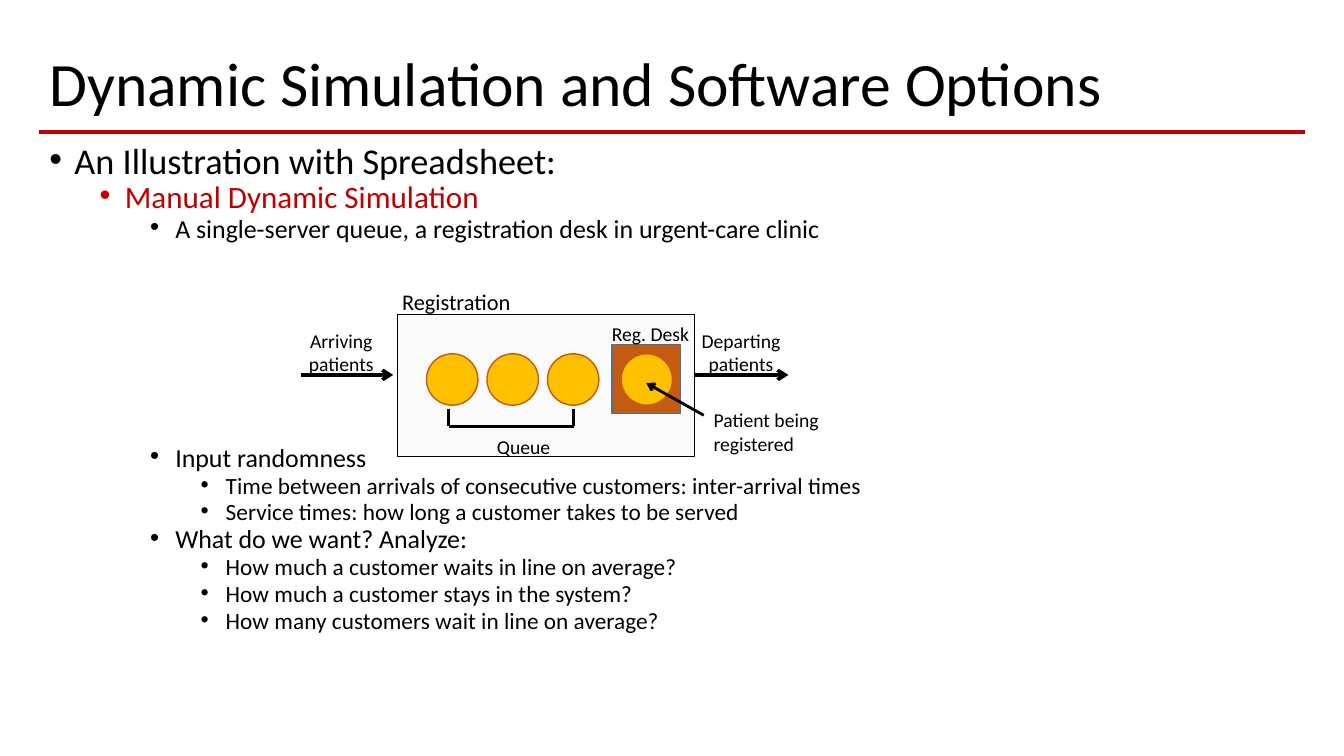
from dataclasses import dataclass

from lxml.etree import SubElement
from pptx import Presentation
from pptx.dml.color import RGBColor
from pptx.enum.shapes import MSO_CONNECTOR, MSO_SHAPE
from pptx.enum.text import MSO_ANCHOR, PP_ALIGN
from pptx.oxml.ns import qn
from pptx.util import Inches, Pt


@dataclass(frozen=True)
class Theme:
    font: str = "Calibri"
    black: str = "000000"
    red: str = "C00000"
    room: str = "FAFAFA"
    desk: str = "C55A11"
    desk_edge: str = "43739E"
    patient: str = "FFC000"
    title_size: float = 44
    level_sizes: tuple = (25.9, 22.2, 18.5, 16.65)
    heading_size: float = 16
    label_size: float = 14


THEME = Theme()
DIAGRAM_GAP = 148
OUTLINE = [
    (0, "An Illustration with Spreadsheet:", THEME.black, 0),
    (1, "Manual Dynamic Simulation", THEME.red, 5),
    (2, "A single-server queue, a registration desk in urgent-care clinic", THEME.black, 5),
    (2, "Input randomness", THEME.black, DIAGRAM_GAP),
    (3, "Time between arrivals of consecutive customers: inter-arrival times", THEME.black, 5),
    (3, "Service times: how long a customer takes to be served", THEME.black, 5),
    (2, "What do we want? Analyze:", THEME.black, 5),
    (3, "How much a customer waits in line on average?", THEME.black, 5),
    (3, "How much a customer stays in the system?", THEME.black, 5),
    (3, "How many customers wait in line on average?", THEME.black, 5),
]


def style_font(paragraph, size, color=THEME.black):
    font = paragraph.font
    font.name = THEME.font
    font.size = Pt(size)
    font.color.rgb = RGBColor.from_string(color)


def add_text_frame(slide, left, top, width, height, wrap=True):
    box = slide.shapes.add_textbox(Inches(left), Inches(top), Inches(width), Inches(height))
    box.text_frame.word_wrap = wrap
    return box.text_frame


def add_title(slide, text):
    frame = add_text_frame(slide, 0.39, 0.4, 12.55, 0.92)
    frame.vertical_anchor = MSO_ANCHOR.MIDDLE
    paragraph = frame.paragraphs[0]
    paragraph.text = text
    paragraph.line_spacing = 0.9
    style_font(paragraph, THEME.title_size)


def add_bullet(paragraph, level):
    properties = paragraph._p.get_or_add_pPr()
    properties.set("marL", str(Inches(0.25 + 0.5 * level)))
    properties.set("indent", str(Inches(-0.25)))
    SubElement(properties, qn("a:buFont"), typeface="Arial")
    SubElement(properties, qn("a:buChar"), char="•")


def add_outline(slide, items):
    frame = add_text_frame(slide, 0.39, 1.44, 12.55, 5.32)
    for index, (level, text, color, space_before) in enumerate(items):
        paragraph = frame.add_paragraph() if index else frame.paragraphs[0]
        paragraph.text = text
        paragraph.level = level
        add_bullet(paragraph, level)
        paragraph.line_spacing = 0.7
        paragraph.space_before = Pt(space_before)
        style_font(paragraph, THEME.level_sizes[level], color)


def add_label(slide, lines, left, top, width, height,
              align=PP_ALIGN.LEFT, size=THEME.label_size, wrap=False):
    frame = add_text_frame(slide, left, top, width, height, wrap)
    for index, line in enumerate(lines):
        paragraph = frame.add_paragraph() if index else frame.paragraphs[0]
        paragraph.text = line
        paragraph.alignment = align
        style_font(paragraph, size)


def add_block(slide, kind, left, top, width, height, fill, edge):
    shape = slide.shapes.add_shape(
        kind, Inches(left), Inches(top), Inches(width), Inches(height))
    shape.shadow.inherit = False
    shape.fill.solid()
    shape.fill.fore_color.rgb = RGBColor.from_string(fill)
    shape.line.color.rgb = RGBColor.from_string(edge)
    shape.line.width = Pt(1)


def add_line(slide, start, end, width, color=THEME.black, arrow=False):
    connector = slide.shapes.add_connector(
        MSO_CONNECTOR.STRAIGHT, *(Inches(value) for value in (*start, *end)))
    connector.line.color.rgb = RGBColor.from_string(color)
    connector.line.width = Pt(width)
    if arrow:
        SubElement(connector.line._get_or_add_ln(), qn("a:tailEnd"), type="arrow")
    SubElement(connector._element.spPr, qn("a:effectLst"))


def add_patient(slide, left):
    add_block(slide, MSO_SHAPE.OVAL, left, 3.51, 0.51, 0.51, THEME.patient, THEME.desk)


def add_queue_bracket(slide, left, right, top, bottom):
    for x in (left, right):
        add_line(slide, (x, top), (x, bottom), 2)
    add_line(slide, (left, bottom), (right, bottom), 2)


def add_clinic_diagram(slide):
    add_label(slide, ["Registration"], 3.89, 2.81, 1.43, 0.37,
              size=THEME.heading_size, wrap=True)
    add_line(slide, (2.99, 3.72), (3.9, 3.72), 2.5, arrow=True)
    add_block(slide, MSO_SHAPE.RECTANGLE, 3.94, 3.12, 2.95, 1.41, THEME.room, THEME.black)
    add_block(slide, MSO_SHAPE.RECTANGLE, 6.07, 3.42, 0.68, 0.68, THEME.desk, THEME.desk_edge)
    add_patient(slide, 6.16)
    for position in range(3):
        add_patient(slide, 4.23 + 0.6 * position)
    add_queue_bracket(slide, 4.45, 5.69, 4.06, 4.23)
    add_label(slide, ["Queue"], 4.83, 4.27, 0.74, 0.34)
    add_label(slide, ["Reg. Desk"], 5.97, 3.14, 0.98, 0.34)
    add_label(slide, ["Arriving", "patients"], 2.96, 3.21, 0.85, 0.57, PP_ALIGN.CENTER)
    add_line(slide, (6.88, 3.72), (7.82, 3.72), 2.5, arrow=True)
    add_label(slide, ["Departing", "patients"], 6.85, 3.21, 1, 0.57, PP_ALIGN.CENTER)
    add_label(slide, ["Patient being", "registered"], 6.98, 4, 1.26, 0.57)
    add_line(slide, (6.98, 4.12), (6.41, 3.8), 2, arrow=True)


def main():
    presentation = Presentation()
    presentation.slide_width = Inches(13.33)
    presentation.slide_height = Inches(7.5)
    slide = presentation.slides.add_slide(presentation.slide_layouts[6])
    add_line(slide, (0.39, 1.31), (12.94, 1.31), 2.25, THEME.red)
    add_title(slide, "Dynamic Simulation and Software Options")
    add_outline(slide, OUTLINE)
    add_clinic_diagram(slide)
    presentation.save("out.pptx")


if __name__ == "__main__":
    main()
